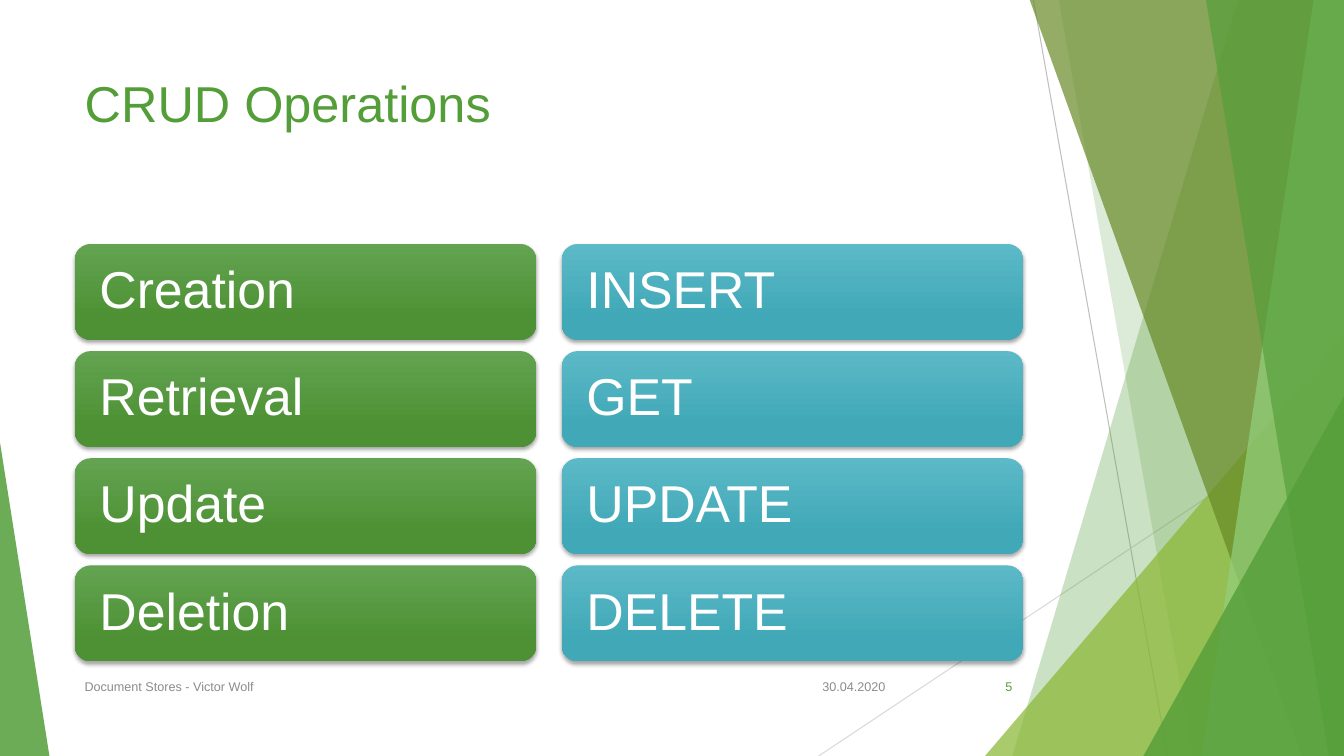
from lxml.etree import SubElement
from pptx import Presentation
from pptx.dml.color import RGBColor
from pptx.enum.shapes import MSO_CONNECTOR as Link, MSO_SHAPE as Shape
from pptx.enum.text import MSO_ANCHOR as Anchor, PP_ALIGN as Align
from pptx.oxml.ns import qn
from pptx.util import Inches, Pt

GREEN, LIME, OLIVE, MINT = "549E39", "8AB833", "678A26", "93D07D"
GRAY, WHITE = "8C8C8C", "FFFFFF"
TOP, BASE, EDGE = -0.01, 7.5, 13.33


def rgb(code):
    return RGBColor.from_string(code)


def write(shape, text, size=9, color=GRAY, align=Align.LEFT,
          anchor=Anchor.MIDDLE, inset=(0.1, 0.05), spacing=1.0):
    frame = shape.text_frame
    frame.word_wrap = True
    frame.vertical_anchor = anchor
    frame.margin_left = frame.margin_right = Inches(inset[0])
    frame.margin_top = frame.margin_bottom = Inches(inset[1])
    para = frame.paragraphs[0]
    para.alignment = align
    para.line_spacing = spacing
    run = para.add_run()
    run.text = text
    run.font.name = "Arial"
    run.font.size = Pt(size)
    run.font.color.rgb = rgb(color)


class Deck:
    def __init__(self):
        self.prs = Presentation()
        self.prs.slide_width, self.prs.slide_height = Inches(EDGE), Inches(BASE)
        self.slide = self.prs.slides.add_slide(self.prs.slide_layouts[5])
        self.shapes = self.slide.shapes

    def line(self, start, end, color):
        link = self.shapes.add_connector(
            Link.STRAIGHT, *(Inches(v) for v in start + end))
        link.line.color.rgb = rgb(color)
        link.line.width = Pt(0.75)
        SubElement(link.element.spPr, qn("a:effectLst"))

    def tint(self, shape, color, alpha):
        """Fill a shape with a see-through colour; alpha is in percent."""
        shape.shadow.inherit = False
        shape.line.fill.background()
        shape.fill.solid()
        shape.fill.fore_color.rgb = rgb(color)
        tone = shape.element.spPr.find(".//" + qn("a:srgbClr"))
        SubElement(tone, qn("a:alpha"), val=str(alpha * 1000))

    def band(self, upper, lower, color, alpha):
        """Draw a full-height band from a slanted left side to the right edge."""
        pen = self.shapes.build_freeform(Inches(upper), Inches(TOP))
        pen.add_line_segments(
            [(Inches(x), Inches(y))
             for x, y in ((EDGE, TOP), (EDGE, BASE), (lower, BASE))], close=True)
        self.tint(pen.convert_to_shape(), color, alpha)

    def wedge(self, left, top, width, peak, color, alpha):
        """Draw a triangle that stands on the bottom edge."""
        shape = self.shapes.add_shape(
            Shape.ISOSCELES_TRIANGLE, Inches(left), Inches(top),
            Inches(width), Inches(BASE - top))
        shape.adjustments[0] = peak
        self.tint(shape, color, alpha)

    def title(self, text, box):
        shape = self.shapes.title
        shape.left, shape.top, shape.width, shape.height = map(Inches, box)
        write(shape, text, size=36, color=GREEN, anchor=Anchor.TOP)

    def card(self, text, left, top, colors):
        shape = self.shapes.add_shape(
            Shape.ROUNDED_RECTANGLE, *map(Inches, (left, top, 4.58, 0.95)))
        shape.line.fill.background()
        shape.fill.gradient()
        shape.fill.gradient_angle = 270
        for stop, color, place in zip(shape.fill.gradient_stops, colors, (0, 0.78)):
            stop.color.rgb = rgb(color)
            stop.position = place
        shape.shadow.inherit = False
        effects = shape.element.spPr.find(qn("a:effectLst"))
        shade = SubElement(effects, qn("a:outerShdw"), blurRad=str(Pt(3)),
                           dist=str(Pt(2)), dir="5400000", rotWithShape="0")
        tone = SubElement(shade, qn("a:srgbClr"), val="000000")
        SubElement(tone, qn("a:alpha"), val="35000")
        write(shape, text, size=37, color=WHITE, inset=(0.2, 0.2), spacing=0.9)

    def label(self, text, left, width, **style):
        box = self.shapes.add_textbox(*map(Inches, (left, 6.61, width, 0.4)))
        write(box, text, **style)


def main():
    deck = Deck()
    deck.line((10.25, 0), (11.58, BASE), "BFBFBF")
    deck.line((EDGE, 4.03), (8.12, BASE), "D9D9D9")
    deck.band(12.28, 10.04, GREEN, 30)
    deck.band(10.5, 11.83, GREEN, 20)
    deck.wedge(9.77, 3.33, 3.56, 1, LIME, 72)
    deck.band(10.21, 12.91, OLIVE, 70)
    deck.band(13.03, 11.92, MINT, 70)
    deck.band(11.96, 13.18, GREEN, 65)
    deck.wedge(11.34, 3.93, 1.99, 1, GREEN, 80)
    deck.wedge(0, 4.39, 0.49, 0, GREEN, 85)

    deck.title("CRUD Operations", (0.74, 0.67, 9.4, 1.44))
    columns = (
        (0.74, ("63A351", "4D9134"), ("Creation", "Retrieval", "Update", "Deletion")),
        (5.57, ("5CB9C7", "40A8B7"), ("INSERT", "GET", "UPDATE", "DELETE")),
    )
    for left, colors, words in columns:
        for row, word in enumerate(words):
            deck.card(word, left, 2.42 + row * 1.063, colors)

    deck.label("30.04.2020", 7.88, 1, align=Align.RIGHT)
    deck.label("Document Stores - Victor Wolf", 0.74, 6.89)
    deck.label("5", 9.39, 0.75, color=GREEN, align=Align.RIGHT)
    deck.prs.save("out.pptx")


if __name__ == "__main__":
    main()
